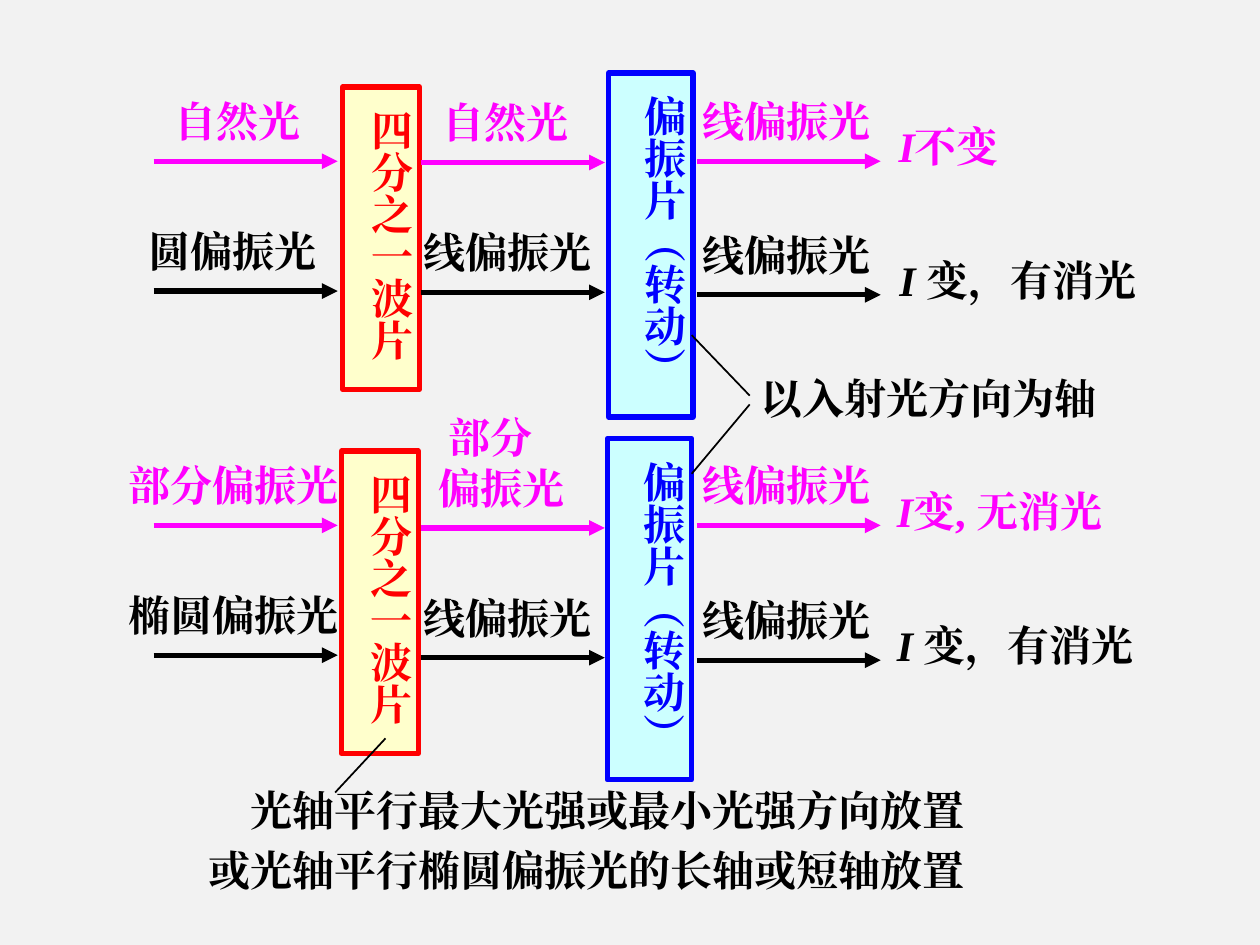
from pptx import Presentation
from pptx.dml.color import RGBColor
from pptx.enum.shapes import MSO_CONNECTOR, MSO_SHAPE
from pptx.enum.text import PP_ALIGN
from pptx.oxml.ns import qn
from pptx.util import Inches, Pt
from lxml.etree import SubElement

FONT, SIZE = "Times New Roman", 24
BLACK, PINK, RED, BLUE = "000000", "FF00FF", "FF0000", "0000FF"

# Each row: arrow height, colour, drop of each column's arrow,
# labels as (lines, shift from the arrow start, width),
# and the result as (left, [(text, italic), ...])
LINEAR = (["线偏振光"], -0.08, 1.64)
FINAL = (["线偏振光"], -0.05, 1.64)
ROWS = [
    (1.28, PINK, (0, 0.01, 0),
     [(["自然光"], 0.07, 1.41), (["自然光"], 0.07, 1.41), FINAL],
     (6.95, [(" ", False), ("I", True), ("不变", False)])),
    (2.31, BLACK, (0, 0.01, 0.03),
     [(["圆偏振光"], -0.14, 1.64), LINEAR, FINAL],
     (7.04, [("I ", True), ("变，有消光", False)])),
    (4.17, PINK, (0, 0.02, 0),
     [(["部分偏振光"], -0.3, 1.89), ([" 部分", "偏振光"], 0.04, 1.49), FINAL],
     (7.02, [("I", True), ("变, 无消光", False)])),
    (5.2, BLACK, (0, 0.02, 0.04),
     [(["椭圆偏振光"], -0.3, 1.95), LINEAR, FINAL],
     (7.02, [("I ", True), ("变，有消光", False)])),
]
COLUMNS = (1.22, 3.34, 5.53)
ARROW_LENGTH, LABEL_RISE, LINE_STEP, RESULT_RISE = 1.46, 0.57, 0.4, 0.37

# Plates: text, position and size, fill, colour
PLATES = [
    (" 四分之一波片", (2.72, 0.69, 0.61, 2.4), "FFFFCC", RED),
    (" 偏振片（转动）", (4.83, 0.58, 0.67, 2.73), "CCFFFF", BLUE),
    (" 四分之一波片", (2.71, 3.58, 0.61, 2.4), "FFFFCC", RED),
    (" 偏振片（转动）", (4.82, 3.48, 0.67, 2.71), "CCFFFF", BLUE),
]

# Notes: text, position and size, left inset
NOTES = [
    ("以入射光方向为轴", (5.94, 2.91, 3.42, 0.61), 0.1),
    ("光轴平行最大光强或最小光强方向放置", (1.56, 6.18, 7.11, 0.55), 0.43),
    ("或光轴平行椭圆偏振光的长轴或短轴放置", (1.56, 6.65, 7.19, 0.5), 0.1),
]
LEADERS = [
    ((5.49, 2.66), (5.95, 3.14)),
    ((5.49, 3.76), (5.95, 3.21)),
    ((2.66, 6.29), (3.06, 5.86)),
]


def rgb(value):
    return RGBColor.from_string(value)


def write(frame, lines, color):
    """Fill a frame; each line is a list of (text, italic) runs."""
    frame.word_wrap = True
    for index, runs in enumerate(lines):
        para = frame.add_paragraph() if index else frame.paragraphs[0]
        para.alignment = PP_ALIGN.JUSTIFY
        for text, italic in runs:
            span = para.add_run()
            span.text = text
            font = span.font
            font.name, font.size = FONT, Pt(SIZE)
            font.bold, font.italic = True, italic
            font.color.rgb = rgb(color)
            SubElement(font._element, qn("a:ea"), typeface=FONT)


def add_text(page, place, lines, color, inset=0.1):
    box = page.shapes.add_textbox(*map(Inches, place))
    box.text_frame.margin_left = Inches(inset)
    write(box.text_frame, lines, color)


def add_line(page, start, end, color, width, arrow=False):
    line = page.shapes.add_connector(
        MSO_CONNECTOR.STRAIGHT, *map(Inches, (*start, *end)))
    line.line.color.rgb = rgb(color)
    line.line.width = Pt(width)
    if arrow:
        SubElement(line.line._get_or_add_ln(), qn("a:tailEnd"), type="triangle")
    SubElement(line._element.spPr, qn("a:effectLst"))


def add_plate(page, text, place, fill, color):
    plate = page.shapes.add_shape(MSO_SHAPE.RECTANGLE, *map(Inches, place))
    plate.shadow.inherit = False
    plate.fill.solid()
    plate.fill.fore_color.rgb = rgb(fill)
    plate.line.color.rgb = rgb(color)
    plate.line.width = Pt(3)
    frame = plate.text_frame
    write(frame, [[(text, False)]], color)
    body = frame._txBody.bodyPr
    body.set("vert", "eaVert")
    body.set("anchor", "t")


def add_row(page, y, color, drops, labels, result):
    for x, drop, (lines, shift, width) in zip(COLUMNS, drops, labels):
        add_line(page, (x, y + drop), (x + ARROW_LENGTH, y + drop), color, 3, True)
        rise = LABEL_RISE + LINE_STEP * (len(lines) - 1)
        place = (x + shift, y + drop - rise, width, rise + 0.05)
        add_text(page, place, [[(text, False)] for text in lines], color)
    left, runs = result
    add_text(page, (left, y + drops[-1] - RESULT_RISE, 2.4, 0.59), [runs], color)


def main():
    deck = Presentation()
    deck.slide_width, deck.slide_height = Inches(10), Inches(7.5)
    page = deck.slides.add_slide(deck.slide_layouts[6])
    page.background.fill.solid()
    page.background.fill.fore_color.rgb = rgb("F2F2F2")

    # Plates, then the light paths through them
    for plate in PLATES:
        add_plate(page, *plate)
    for row in ROWS:
        add_row(page, *row)

    # Notes and their leader lines
    for text, place, inset in NOTES:
        add_text(page, place, [[(text, False)]], BLACK, inset)
    for start, end in LEADERS:
        add_line(page, start, end, BLACK, 1)

    deck.save("out.pptx")


if __name__ == "__main__":
    main()
